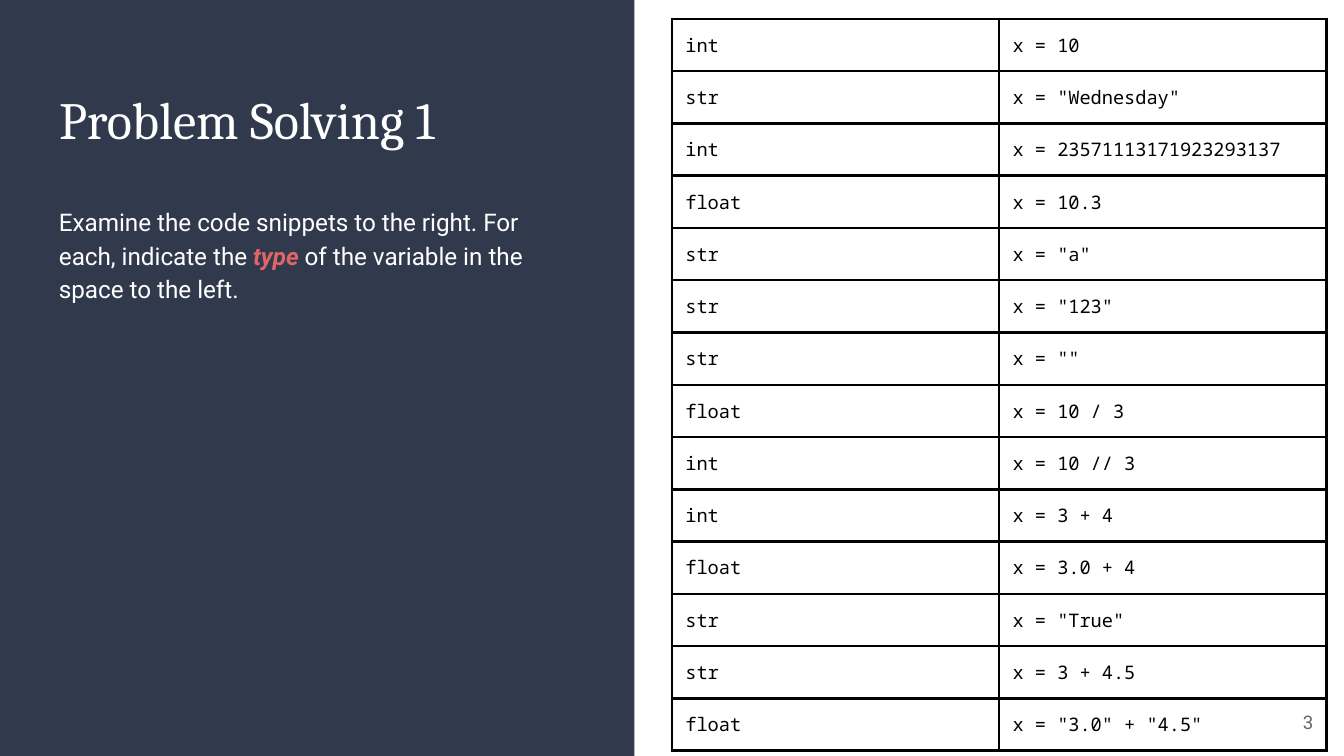
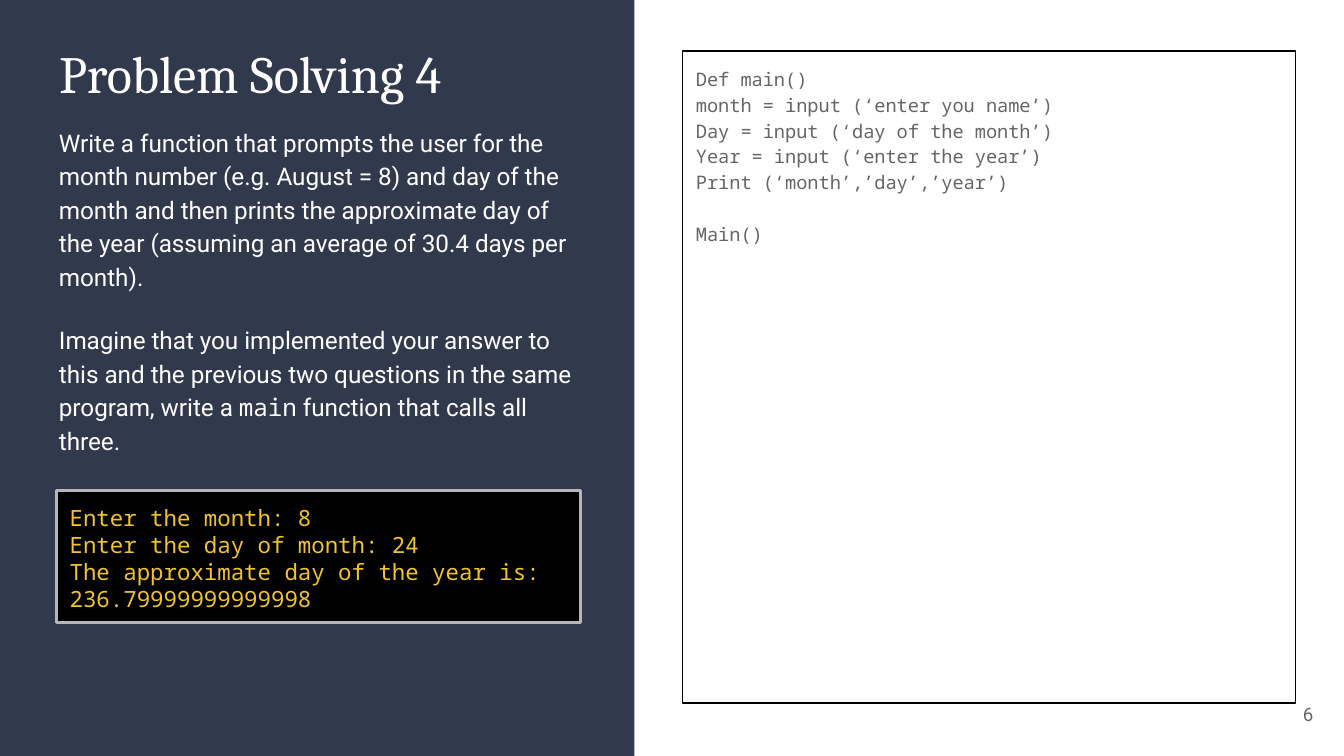
from dataclasses import dataclass
from typing import Optional

from lxml import etree
from pptx import Presentation
from pptx.dml.color import RGBColor
from pptx.enum.shapes import MSO_SHAPE
from pptx.enum.text import MSO_ANCHOR, MSO_AUTO_SIZE, PP_ALIGN
from pptx.oxml.ns import qn
from pptx.util import Inches, Pt

RECT = MSO_SHAPE.RECTANGLE
TOP, MIDDLE = MSO_ANCHOR.TOP, MSO_ANCHOR.MIDDLE
LEFT, RIGHT = PP_ALIGN.LEFT, PP_ALIGN.RIGHT
NO_FIT = MSO_AUTO_SIZE.NONE
TITLE_ONLY = 5
SLIDE_W = 10
SLIDE_H = SLIDE_W * 9 / 16


@dataclass(frozen=True)
class Theme:
    panel: str = "31394D"
    white: str = "FFFFFF"
    black: str = "000000"
    grey: str = "666666"
    frame: str = "B7B7B7"
    accent: str = "E06666"
    console: str = "F1C232"
    serif: str = "Cambria"
    sans: str = "Roboto"
    mono: str = "Noto Sans Mono"
    title_size: float = 28
    body_size: float = 13
    console_size: float = 12
    small_size: float = 10
    inset: float = 0.1


T = Theme()


@dataclass(frozen=True)
class Style:
    font: str
    size: float
    color: str
    emphasis: bool = False


TITLE = Style(T.serif, T.title_size, T.white)
BODY = Style(T.sans, T.body_size, T.white)
KEYWORD = Style(T.sans, T.body_size, T.accent, emphasis=True)
BODY_CODE = Style(T.mono, T.body_size, T.white)
CELL = Style(T.mono, T.small_size, T.black)
ANSWER = Style(T.mono, T.small_size, T.grey)
CONSOLE = Style(T.mono, T.console_size, T.console)
NUMBER = Style(T.sans, T.small_size, T.grey)


@dataclass(frozen=True)
class Para:
    runs: list[tuple[str, Style]]
    before: float = 0
    after: float = 0
    spacing: float = 1.0
    align: PP_ALIGN = LEFT


@dataclass(frozen=True)
class Box:
    left: float
    top: float
    width: float
    height: float
    paras: list[Para]
    fill: Optional[str] = None
    line: Optional[str] = None
    line_width: float = 0.75
    anchor: MSO_ANCHOR = TOP


def rgb(value: str) -> RGBColor:
    return RGBColor.from_string(value)


def style_run(r, style: Style) -> None:
    r.font.name = style.font
    r.font.size = Pt(style.size)
    r.font.color.rgb = rgb(style.color)
    r.font.bold = r.font.italic = style.emphasis


def set_frame(tf, anchor: MSO_ANCHOR = TOP) -> None:
    tf.word_wrap = True
    tf.auto_size = NO_FIT
    tf.vertical_anchor = anchor
    tf.margin_left = tf.margin_right = Inches(T.inset)
    tf.margin_top = tf.margin_bottom = Inches(T.inset)


def place(sp, left: float, top: float, width: float, height: float) -> None:
    sp.left, sp.top = Inches(left), Inches(top)
    sp.width, sp.height = Inches(width), Inches(height)


def add_box(s, box: Box):
    area = [Inches(v) for v in (box.left, box.top, box.width, box.height)]
    if box.fill or box.line:
        sp = s.shapes.add_shape(RECT, *area)
        sp.shadow.inherit = False
        if box.fill:
            sp.fill.solid()
            sp.fill.fore_color.rgb = rgb(box.fill)
        else:
            sp.fill.background()
        if box.line:
            sp.line.color.rgb = rgb(box.line)
            sp.line.width = Pt(box.line_width)
        else:
            sp.line.fill.background()
    else:
        sp = s.shapes.add_textbox(*area)
    tf = sp.text_frame
    set_frame(tf, box.anchor)
    for i, para in enumerate(box.paras):
        p = tf.add_paragraph() if i else tf.paragraphs[0]
        p.alignment = para.align
        p.line_spacing = para.spacing
        p.space_before, p.space_after = Pt(para.before), Pt(para.after)
        for text, style in para.runs:
            r = p.add_run()
            r.text = text
            style_run(r, style)
    return sp


def add_problem_slide(prs, title: str, title_top: float):
    """Slide with the dark left panel and its title."""
    s = prs.slides.add_slide(prs.slide_layouts[TITLE_ONLY])
    sp = s.shapes.title
    place(sp, 0.34, title_top, 4.05, 0.7)
    tf = sp.text_frame
    tf.text = title
    set_frame(tf)
    p = tf.paragraphs[0]
    p.alignment = LEFT
    style_run(p.runs[0], TITLE)
    panel = add_box(s, Box(0, 0, 4.72, SLIDE_H, [], fill=T.panel))
    sp.element.addprevious(panel.element)  # panel goes behind the title
    return s


def add_number(s, number: int, top: float) -> None:
    para = Para([(str(number), NUMBER)], align=RIGHT)
    add_box(s, Box(9.27, top, 0.6, 0.43, [para], anchor=MIDDLE))


def set_borders(cell, color: str, width: float) -> None:
    tc_pr = cell._tc.get_or_add_tcPr()
    for i, side in enumerate(("lnL", "lnR", "lnT", "lnB")):
        ln = etree.Element(qn(f"a:{side}"), w=str(Pt(width)))
        fill = etree.SubElement(ln, qn("a:solidFill"))
        etree.SubElement(fill, qn("a:srgbClr"), val=color)
        tc_pr.insert(i, ln)


def add_type_table(s, rows: list[tuple[str, str]]) -> None:
    table = s.shapes.add_table(len(rows), 2, Inches(5), Inches(0.14),
                               Inches(4.87), Inches(5.13)).table
    table.first_row = table.horz_banding = False
    for i, row in enumerate(rows):
        for j, text in enumerate(row):
            cell = table.cell(i, j)
            cell.margin_left = cell.margin_right = Inches(T.inset)
            cell.margin_top = cell.margin_bottom = Inches(T.inset)
            cell.fill.background()
            set_borders(cell, T.black, 1.5)
            p = cell.text_frame.paragraphs[0]
            p.text = text
            style_run(p.runs[0], CELL)


TYPE_ROWS = [
    ("int", "x = 10"),
    ("str", 'x = "Wednesday"'),
    ("int", "x = 23571113171923293137"),
    ("float", "x = 10.3"),
    ("str", 'x = "a"'),
    ("str", 'x = "123"'),
    ("str", 'x = ""'),
    ("float", "x = 10 / 3"),
    ("int", "x = 10 // 3"),
    ("int", "x = 3 + 4"),
    ("float", "x = 3.0 + 4"),
    ("str", 'x = "True"'),
    ("str", "x = 3 + 4.5"),
    ("float", 'x = "3.0" + "4.5"'),
]
ANSWER_LINES = [
    "Def main()",
    "month = input (‘enter you name’)",
    "Day = input (‘day of the month’)",
    "Year = input (‘enter the year’)",
    "Print (‘month’,’day’,’year’)",
]
CONSOLE_LINES = [
    "Enter the month: 8",
    "Enter the day of month: 24",
    "The approximate day of the year is: 236.79999999999998",
]


def build_types(prs) -> None:
    s = add_problem_slide(prs, "Problem Solving 1", 0.55)
    add_box(s, Box(0.34, 1.41, 4.05, 2.95, [Para([
        ("Examine the code snippets to the right. For each, indicate the ", BODY),
        ("type ", KEYWORD),
        ("of the variable in the space to the left.", BODY),
    ], after=16, spacing=1.15)]))
    add_number(s, 3, 5.16)
    add_type_table(s, TYPE_ROWS)


def build_day_of_year(prs) -> None:
    s = add_problem_slide(prs, "Problem Solving 4", 0.21)

    # Answer code, with a one-line gap before the call
    answer = [Para([(text, ANSWER)], spacing=1.15) for text in ANSWER_LINES]
    answer.append(Para([("Main()", ANSWER)], before=13.8, spacing=1.15))
    add_box(s, Box(5.08, 0.38, 4.56, 4.85, answer, line=T.black))
    add_number(s, 6, 5.1)

    # Task
    add_box(s, Box(0.34, 0.82, 4.05, 2.58, [
        Para([("Write a function that prompts the user for the month number "
               "(e.g. August = 8) and day of the month and then prints the "
               "approximate day of the year (assuming an average of 30.4 days "
               "per month).", BODY)], spacing=1.15),
        Para([("Imagine that you implemented your answer to this and the "
               "previous two questions in the same program, write a ", BODY),
              ("main", BODY_CODE),
              (" function that calls all three.", BODY)],
             before=16, after=16, spacing=1.15),
    ]))

    # Sample console session
    session = [Para([(text, CONSOLE)]) for text in CONSOLE_LINES]
    add_box(s, Box(0.42, 3.65, 3.9, 0.98, session,
                   fill=T.black, line=T.frame, line_width=1.5))


def main() -> None:
    prs = Presentation()
    prs.slide_width, prs.slide_height = Inches(SLIDE_W), Inches(SLIDE_H)
    build_types(prs)
    build_day_of_year(prs)
    prs.save("out.pptx")


if __name__ == "__main__":
    main()
